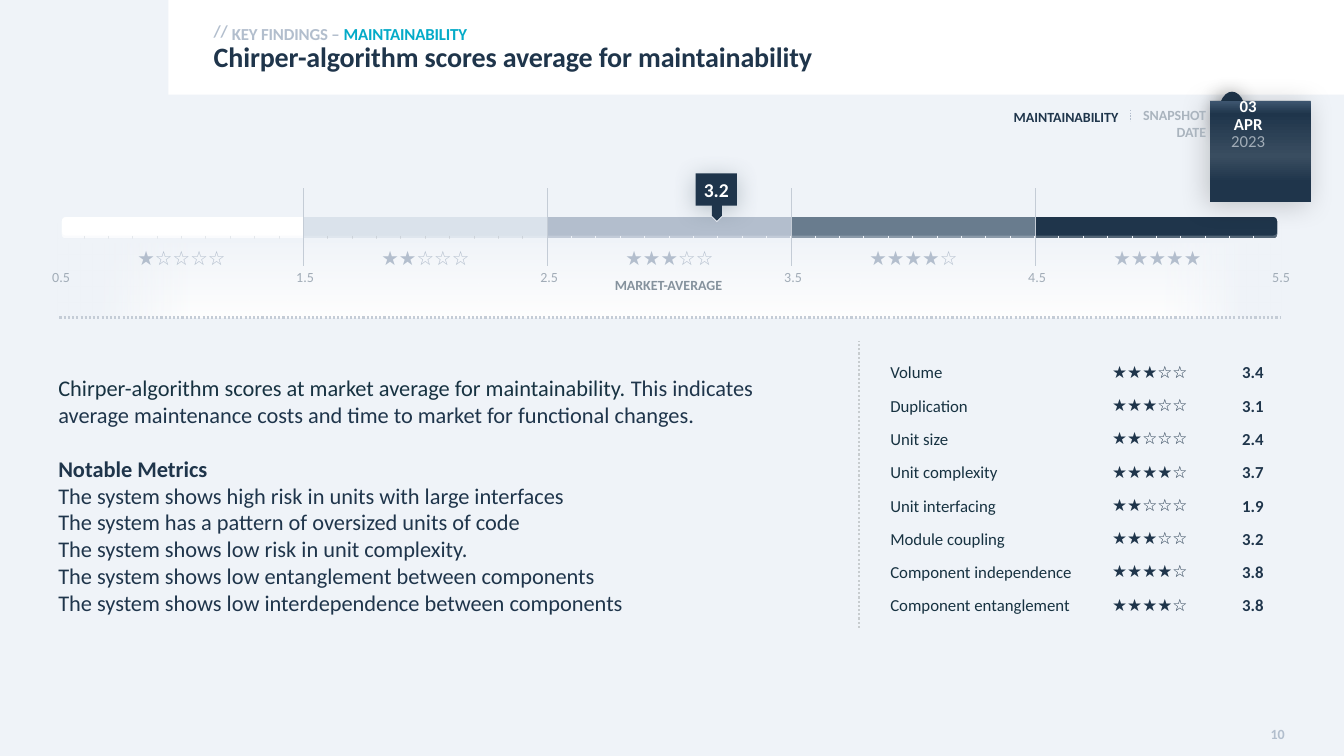
from dataclasses import dataclass
from typing import Optional

from lxml import etree
from pptx import Presentation
from pptx.dml.color import RGBColor
from pptx.enum.dml import MSO_LINE_DASH_STYLE as Dash
from pptx.enum.shapes import MSO_CONNECTOR_TYPE as Connector, MSO_SHAPE as Preset
from pptx.enum.text import MSO_VERTICAL_ANCHOR as Anchor, PP_PARAGRAPH_ALIGNMENT as Align
from pptx.oxml.ns import qn
from pptx.util import Inches, Pt

COLORS = {
    "page": "EFF3F8", "white": "FFFFFF", "navy": "1F354B", "ink": "173241",
    "teal": "04ABC8", "haze": "B2BECD", "steel": "B3BECD", "ice": "DAE2EB",
    "slate": "697C8E", "rule": "C4CCD6", "divider": "C7CCCF", "scale": "A1ACB7",
    "market": "85929D", "snapshot": "AAB4BE", "fold": "172838", "sheen": "3F5771",
    "ribbon": "394D60", "mist": "F7F9FC", "glow": "5C6F7B", "pale": "F0F3FA",
    "tick_light": "E0E3E7", "tick_mid": "C0C7CF", "black": "000000",
}
FONT = "Calibri"
BAR_LEFT, BAND_WIDTH, BAND_COUNT, TICKS_PER_BAND = 0.59, 2.42, 5, 10
BAND_FILLS = ["white", "ice", "steel", "slate", "navy"]
TICK_COLORS = ["tick_light", "tick_mid", "page", "page", "page"]
NO_STYLE = "{2D5ABB26-0587-4C30-8999-92F81FD0307C}"


@dataclass
class Label:
    box: tuple
    runs: list
    size: float
    align: Align = Align.LEFT
    bold: bool = True
    insets: tuple = (0, 0, 0, 0)
    anchor: Anchor = Anchor.TOP
    spacing: Optional[float] = None
    tracking: int = 0


@dataclass
class Rule:
    start: tuple
    end: tuple
    color: str
    width: float
    dotted: bool = False


@dataclass
class Metric:
    name: str
    stars: int
    score: str


def rgb(name: str) -> RGBColor:
    return RGBColor.from_string(COLORS[name])


def add_color(parent, name: str, alpha: int = 100) -> None:
    color = etree.SubElement(parent, qn("a:srgbClr"), val=COLORS[name])
    if alpha < 100:
        etree.SubElement(color, qn("a:alpha"), val=str(alpha * 1000))


def star_text(count: int) -> str:
    return "★" * count + "☆" * (5 - count)


def style_font(font, size: float, color: str, bold: bool) -> None:
    font.name, font.size, font.bold = FONT, Pt(size), bold
    font.color.rgb = rgb(color)


def set_insets(holder, insets: tuple) -> None:
    (holder.margin_left, holder.margin_top,
     holder.margin_right, holder.margin_bottom) = map(Inches, insets)


def finish(shape, fill: Optional[str] = None):
    shape.shadow.inherit = False
    shape.line.fill.background()
    if fill:
        shape.fill.solid()
        shape.fill.fore_color.rgb = rgb(fill)
    else:
        shape.fill.background()
    return shape


def add_block(slide, box: tuple, fill: Optional[str] = None, preset=Preset.RECTANGLE):
    return finish(slide.shapes.add_shape(preset, *map(Inches, box)), fill)


def add_outline(slide, points: list, fill: str):
    builder = slide.shapes.build_freeform(*points[0], scale=Inches(1))
    builder.add_line_segments(points[1:], close=True)
    return finish(builder.convert_to_shape(), fill)


def set_gradient(shape, stops: list, angle: int) -> None:
    properties = shape._element.spPr
    gradient = etree.Element(qn("a:gradFill"), rotWithShape="1")
    stop_list = etree.SubElement(gradient, qn("a:gsLst"))
    for position, color, alpha in stops:
        add_color(etree.SubElement(stop_list, qn("a:gs"), pos=str(position * 1000)), color, alpha)
    etree.SubElement(gradient, qn("a:lin"), ang=str(angle * 60000), scaled="0")
    properties.replace(properties.find(qn("a:noFill")), gradient)


def set_shadow(shape, color: str, alpha: int, blur: int, distance: int, angle: int) -> None:
    effects = shape._element.spPr.find(qn("a:effectLst"))
    shadow = etree.SubElement(effects, qn("a:outerShdw"), blurRad=str(Pt(blur)),
                              dist=str(Pt(distance)), dir=str(angle * 60000),
                              algn="ctr", rotWithShape="0")
    add_color(shadow, color, alpha)


def add_rule(slide, rule: Rule) -> None:
    line = slide.shapes.add_connector(Connector.STRAIGHT, *map(Inches, rule.start + rule.end))
    line.line.color.rgb = rgb(rule.color)
    line.line.width = Pt(rule.width)
    if rule.dotted:
        line.line.dash_style = Dash.ROUND_DOT
    etree.SubElement(line._element.spPr, qn("a:effectLst"))


def add_label(slide, label: Label):
    frame = slide.shapes.add_textbox(*map(Inches, label.box)).text_frame
    frame.word_wrap, frame.vertical_anchor = True, label.anchor
    set_insets(frame, label.insets)
    paragraph = frame.paragraphs[0]
    paragraph.alignment = label.align
    if label.spacing:
        paragraph.line_spacing = label.spacing
    style_font(paragraph.font, label.size, label.runs[0][1], label.bold)
    if label.tracking:
        paragraph.font._element.set("spc", str(label.tracking))
    for text, color in label.runs:
        run = paragraph.add_run()
        run.text = text
        if len(label.runs) > 1:
            run.font.color.rgb = rgb(color)
    return paragraph


def add_grid(slide, box: tuple, widths: list, rows: int):
    table = slide.shapes.add_table(rows, len(widths), *map(Inches, box)).table
    table.first_row = table.horz_banding = False
    table._tbl.tblPr.find(qn("a:tableStyleId")).text = NO_STYLE
    for column, width in zip(table.columns, widths):
        column.width = Inches(width)
    for cell in table.iter_cells():
        cell.fill.background()
    return table


def add_ticks(slide) -> None:
    count = BAND_COUNT * TICKS_PER_BAND
    step = BAND_WIDTH / TICKS_PER_BAND
    table = add_grid(slide, (BAR_LEFT, 2.34, step * count, 0.05), [step] * count, 1)
    for index, cell in enumerate(table.iter_cells()):
        set_insets(cell, (0, 0, 0, 0))
        etree.SubElement(cell.text_frame.paragraphs[0]._p, qn("a:endParaRPr"), sz="100")
        band, tick = divmod(index, TICKS_PER_BAND)
        sides = [side for side, edge in (("a:lnL", 0), ("a:lnR", TICKS_PER_BAND - 1)) if tick != edge]
        for order, side in enumerate(sides):
            border = etree.Element(qn(side), w=str(Pt(0.5)))
            add_color(etree.SubElement(border, qn("a:solidFill")), TICK_COLORS[band])
            cell._tc.tcPr.insert(order, border)


def add_metrics(slide, metrics: list) -> None:
    height = 0.33
    table = add_grid(slide, (8.73, 3.55, 4.11, height * len(metrics)), [2.2, 1.29, 0.62], len(metrics))
    for row, metric in zip(table.rows, metrics):
        contents = [(metric.name, "ink", False), (star_text(metric.stars), "navy", False),
                    (metric.score, "navy", True)]
        for cell, (text, color, bold) in zip(row.cells, contents):
            cell.text = text
            cell.vertical_anchor = Anchor.MIDDLE
            set_insets(cell, (0.1, 0.05, 0.1, 0.08))
            style_font(cell.text_frame.paragraphs[0].font, 12, color, bold)
        row.cells[1].text_frame.paragraphs[0].line_spacing = 0.85


def add_scale(slide) -> None:
    for band, fill in enumerate(BAND_FILLS):
        left = BAR_LEFT + band * BAND_WIDTH
        add_block(slide, (left, 2.15, BAND_WIDTH, 0.21), fill)
        add_label(slide, Label((left, 2.39, BAND_WIDTH, 0.34), [(star_text(band + 1), "steel")], 14,
                               Align.CENTER, False, (0.1, 0.05, 0.1, 0.05)))
    add_ticks(slide)
    for top, alpha in ((2.13, 100), (2.1, 25)):
        frame = add_block(slide, (BAR_LEFT, top, 12.1, 0.26), preset=Preset.ROUNDED_RECTANGLE)
        frame.adjustments[0] = 0.24
        frame.line.color.rgb = rgb("page")
        frame.line.width = Pt(3)
        if alpha < 100:
            color = frame._element.spPr.find(".//" + qn("a:ln")).find(".//" + qn("a:srgbClr"))
            etree.SubElement(color, qn("a:alpha"), val=str(alpha * 1000))
    for band in range(1, BAND_COUNT):
        x = BAR_LEFT + band * BAND_WIDTH
        add_rule(slide, Rule((x, 1.87), (x, 2.64), "rule", 0.5))
    values = add_label(slide, Label((0.42, 2.61, 12.6, 0.27), [("0.5\t1.5\t2.5\t3.5\t4.5\t5.5", "scale")],
                                    10, bold=False, insets=(0.1, 0.05, 0, 0.05)))
    tabs = etree.Element(qn("a:tabLst"))
    for band in range(1, BAND_COUNT + 1):
        etree.SubElement(tabs, qn("a:tab"), pos=str(Inches(band * BAND_WIDTH)), algn="l")
    values._p.pPr.find(qn("a:defRPr")).addprevious(tabs)


def add_ribbon(slide) -> None:
    knot = add_block(slide, (12.09, 0.91, 0.26, 0.4), "navy", Preset.OVAL)
    set_shadow(knot, "black", 46, 15, 3, 135)
    add_outline(slide, [(12.04, 0.94), (12.04, 0.92), (12.06, 0.9), (12.09, 0.89), (12.63, 0.89),
                        (12.66, 0.9), (12.68, 0.92), (12.68, 0.94)], "fold")
    ribbon = add_outline(slide, [(12.08, 0.89), (12.63, 0.89), (12.66, 0.9), (12.68, 0.92), (12.69, 0.94),
                                 (12.69, 1.82), (12.38, 1.52), (12.08, 1.82), (12.08, 0.93), (12.06, 0.9)], "navy")
    ribbon.fill.background()
    set_gradient(ribbon, [(0, "sheen", 100), (13, "navy", 100), (55, "ribbon", 100), (81, "navy", 100)], 90)
    set_shadow(ribbon, "black", 20, 20, 3, 135)


def add_score(slide) -> None:
    badge = add_block(slide, (6.9, 1.72, 0.41, 0.32), "navy")
    set_shadow(badge, "glow", 40, 17, 3, 90)
    frame = badge.text_frame
    frame.word_wrap, frame.vertical_anchor = False, Anchor.BOTTOM
    set_insets(frame, (0.08, 0.04, 0.08, 0.04))
    frame.text = "3.2"
    frame.paragraphs[0].alignment = Align.CENTER
    style_font(frame.paragraphs[0].font, 14, "white", True)
    pointer = add_block(slide, (7.03, 2.06, 0.16, 0.1), "navy", Preset.PENTAGON)
    pointer.rotation = 90
    set_shadow(pointer, "pale", 100, 0, 1, 90)


def add_findings(slide) -> None:
    intro = add_label(slide, Label((0.48, 3.66, 7.45, 2.5), [
        ("Chirper-algorithm scores at market average for maintainability. ", "ink"),
        ("This indicates average maintenance costs and time to market for functional changes.", "navy"),
    ], 16, bold=False, insets=(0.1, 0.05, 0.1, 0.05)))
    lines = ["Notable Metrics", "The system shows high risk in units with large interfaces",
             "The system has a pattern of oversized units of code", "The system shows low risk in unit complexity.",
             "The system shows low entanglement between components",
             "The system shows low interdependence between components"]
    frame = intro._parent
    for index, line in enumerate(lines):
        paragraph = frame.add_paragraph()
        paragraph.text = line
        if index == 0:
            paragraph.space_before = Pt(19.5)
        style_font(paragraph.font, 16, "navy", index == 0)


def main() -> None:
    deck = Presentation()
    deck.slide_width, deck.slide_height = Inches(13.33), Inches(7.5)
    slide = deck.slides.add_slide(deck.slide_layouts[6])
    add_block(slide, (0, 0, 13.33, 7.5), "page")
    add_block(slide, (1.67, 0, 11.66, 0.94), "white")
    set_gradient(add_block(slide, (0.59, 2.3, 12.1, 0.85)), [(0, "white", 0), (100, "white", 100)], 90)
    set_gradient(add_block(slide, (0.57, 2.22, 12.14, 0.93)),
                 [(3, "page", 100), (11, "page", 0), (90, "mist", 0), (97, "page", 100)], 0)
    add_scale(slide)
    for rule in (Rule((0.59, 3.15), (12.7, 3.15), "rule", 1.5, True),
                 Rule((8.52, 6.23), (8.52, 3.38), "divider", 1.5, True),
                 Rule((11.21, 1.09), (11.21, 1.2), "steel", 1, True)):
        add_rule(slide, rule)
    add_ribbon(slide)
    add_score(slide)
    labels = [
        Label((2.02, 0.16, 0.37, 0.3), [("//", "haze")], 12, insets=(0.1, 0.05, 0, 0.05), anchor=Anchor.MIDDLE),
        Label((2.3, 0.19, 10.54, 0.24), [("KEY FINDINGS – ", "haze"), ("MAINTAINABILITY", "teal")], 12,
              insets=(0, 0.02, 0.1, 0), spacing=1.14, tracking=-10),
        Label((2.12, 0.43, 10.73, 0.31), [("Chirper-algorithm scores average for maintainability", "navy")], 20,
              spacing=0.9, tracking=-10),
        Label((9.8, 1, 1.29, 0.28), [("MAINTAINABILITY", "navy")], 10, Align.RIGHT,
              insets=(0, 0.05, 0, 0.05), spacing=1.14),
        Label((11.17, 1.01, 0.89, 0.45), [("SNAPSHOT DATE", "snapshot")], 10, Align.RIGHT,
              insets=(0.1, 0.05, 0.1, 0.05)),
        Label((5.98, 2.69, 1.3, 0.27), [("MARKET-AVERAGE", "market")], 10, Align.CENTER, insets=(0, 0.05, 0, 0.05)),
        Label((12.14, 0.95, 0.48, 0.16), [("03", "white")], 12, Align.CENTER),
        Label((12.14, 1.13, 0.48, 0.16), [("APR", "white")], 12, Align.CENTER),
        Label((12.14, 1.3, 0.48, 0.16), [("2023", "scale")], 12, Align.CENTER, bold=False),
        Label((12.47, 7.16, 0.37, 0.26), [("10", "haze")], 10, Align.RIGHT,
              insets=(0, 0.04, 0.1, 0.05), anchor=Anchor.MIDDLE),
    ]
    for label in labels:
        add_label(slide, label)
    add_metrics(slide, [
        Metric("Volume", 3, "3.4"), Metric("Duplication", 3, "3.1"), Metric("Unit size", 2, "2.4"),
        Metric("Unit complexity", 4, "3.7"), Metric("Unit interfacing", 2, "1.9"), Metric("Module coupling", 3, "3.2"),
        Metric("Component independence", 4, "3.8"), Metric("Component entanglement", 4, "3.8"),
    ])
    add_findings(slide)
    deck.save("out.pptx")


if __name__ == "__main__":
    main()
